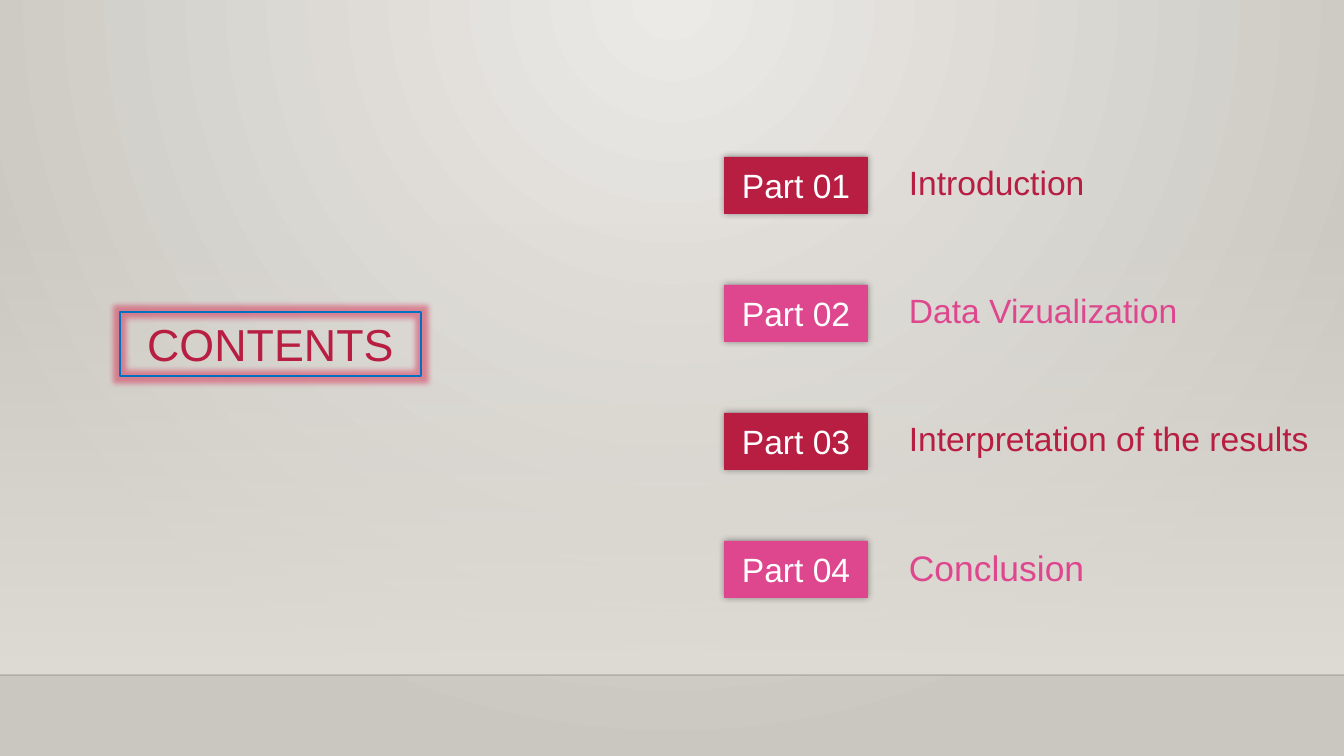
import pptx
import pptx.dml.color
import pptx.enum.shapes
import pptx.enum.text
import pptx.oxml
import pptx.oxml.ns
import pptx.util

RGBColor = pptx.dml.color.RGBColor
CRIMSON = RGBColor(0xB7, 0x1E, 0x42)
PINK = RGBColor(0xDE, 0x47, 0x8E)
BLUE = RGBColor(0x00, 0x70, 0xC0)
WHITE = RGBColor(0xFF, 0xFF, 0xFF)
FLOOR_EDGE = RGBColor(0x00, 0x00, 0x01)
SAND = RGBColor(0xDF, 0xDB, 0xD5)
LIGHT = RGBColor(0xEC, 0xEA, 0xE7)
SHADE = RGBColor(0xCA, 0xC7, 0xC1)

WIDTH, HEIGHT = 1344, 756
WALL_TOP, FLOOR_TOP = 223, 675
FIRST_ROW, ROW_STEP = 157, 128
PARTS = [
    ("Introduction", CRIMSON, 24),
    ("Data Vizualization", PINK, 24),
    ("Interpretation of the results", CRIMSON, 24),
    ("Conclusion", PINK, 25.3),
]
SHADOW = ('<a:outerShdw {ns} blurRad="63500" dist="0"><a:srgbClr val="000000">'
          '<a:alpha val="40000"/></a:srgbClr></a:outerShdw>')
GLOW = ('<a:glow {ns} rad="101600"><a:srgbClr val="B71E42"><a:satMod val="175000"/>'
        '<a:alpha val="40000"/></a:srgbClr></a:glow>')
CIRCLE = ('<a:path {ns} path="circle">'
          '<a:fillToRect l="43000" t="0" r="43000" b="100000"/></a:path>')


def px(length):
    return pptx.util.Emu(round(length * 914400 / 100.8))


def drawing_xml(template):
    return pptx.oxml.parse_xml(template.format(ns=pptx.oxml.ns.nsdecls("a")))


def set_alpha(parent, percent):
    """Make the first colour below parent partly transparent."""
    color = next(parent.iter(pptx.oxml.ns.qn("a:srgbClr")))
    color.append(drawing_xml(f'<a:alpha {{ns}} val="{percent * 1000}"/>'))


def set_effect(shape, template=None):
    """Replace inherited effects with the given one, or with none."""
    effects = drawing_xml("<a:effectLst {ns}/>")
    if template:
        effects.append(drawing_xml(template))
    shape._element.spPr.append(effects)


class SlideBuilder:
    font_name = "Arial"

    def __init__(self, deck):
        self.page = deck.slides.add_slide(deck.slide_layouts[5])
        self.shapes = self.page.shapes

    def gradient(self, fill, *colors):
        fill.gradient()
        for stop, color in zip(fill.gradient_stops, colors):
            stop.color.rgb = color

    def background(self):
        self.gradient(self.page.background.fill, LIGHT, SHADE)
        linear = next(self.page._element.iter(pptx.oxml.ns.qn("a:lin")))
        linear.getparent().replace(linear, drawing_xml(CIRCLE))

    def rectangle(self, left, top, width, height):
        box = self.shapes.add_shape(
            pptx.enum.shapes.MSO_SHAPE.RECTANGLE,
            px(left), px(top), px(width), px(height))
        box.line.fill.background()
        return box

    def wall(self, top, height):
        box = self.rectangle(0, top, WIDTH, height)
        self.gradient(box.fill, SAND, SAND)
        box.fill.gradient_angle = 270
        set_alpha(box._element.spPr, 0)
        set_effect(box)

    def floor_edge(self, y):
        edge = self.shapes.add_connector(
            pptx.enum.shapes.MSO_CONNECTOR.STRAIGHT, 0, px(y), px(WIDTH), px(y))
        edge.line.color.rgb = FLOOR_EDGE
        edge.line.width = pptx.util.Pt(1)
        set_alpha(edge._element.spPr, 20)
        set_effect(edge)

    def set_text(self, shape, text, size, color, align, anchor):
        frame = shape.text_frame
        frame.word_wrap = True
        frame.vertical_anchor = anchor
        para = frame.paragraphs[0]
        para.text = text
        para.alignment = align
        para.font.name = self.font_name
        para.font.size = pptx.util.Pt(size)
        para.font.color.rgb = color

    def badge(self, left, top, text, color):
        box = self.rectangle(left, top, 144, 57)
        box.fill.solid()
        box.fill.fore_color.rgb = color
        set_effect(box, SHADOW)
        self.set_text(box, text, 24, WHITE, pptx.enum.text.PP_ALIGN.CENTER,
                      pptx.enum.text.MSO_ANCHOR.MIDDLE)

    def label(self, left, top, text, color, size):
        box = self.shapes.add_textbox(px(left), px(top), px(430), px(50))
        self.set_text(box, text, size, color, pptx.enum.text.PP_ALIGN.LEFT,
                      pptx.enum.text.MSO_ANCHOR.TOP)

    def title(self, left, top, width, height, text):
        """Fill the title placeholder and bring it in front of the wall."""
        box = self.shapes.title
        box.left, box.top = px(left), px(top)
        box.width, box.height = px(width), px(height)
        box.line.color.rgb = BLUE
        box.line.width = pptx.util.Pt(1.5)
        set_effect(box, GLOW)
        self.set_text(box, text, 32, CRIMSON, pptx.enum.text.PP_ALIGN.CENTER,
                      pptx.enum.text.MSO_ANCHOR.TOP)
        box.text_frame.auto_size = pptx.enum.text.MSO_AUTO_SIZE.NONE
        self.shapes._spTree.append(box._element)


def main():
    deck = pptx.Presentation()
    deck.slide_width, deck.slide_height = px(WIDTH), px(HEIGHT)
    builder = SlideBuilder(deck)
    builder.background()
    builder.wall(WALL_TOP, FLOOR_TOP - WALL_TOP)
    builder.floor_edge(FLOOR_TOP)
    for index, (text, color, size) in enumerate(PARTS):
        top = FIRST_ROW + index * ROW_STEP
        builder.badge(724, top, f"Part {index + 1:02}", color)
        builder.label(899, top, text, color, size)
    builder.title(120, 312, 301, 64, "CONTENTS")
    deck.save("out.pptx")


if __name__ == "__main__":
    main()
